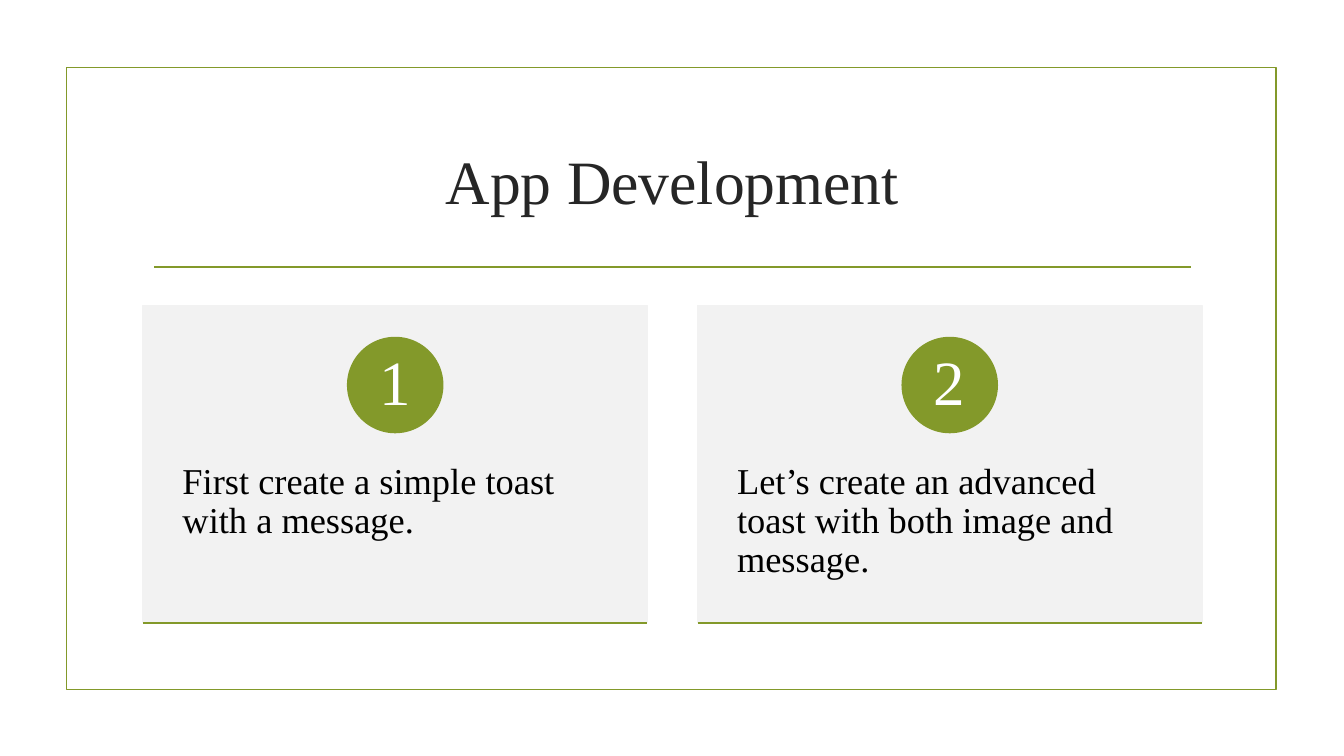
import lxml.etree
import pptx
import pptx.dml.color
import pptx.enum.shapes
import pptx.enum.text
import pptx.oxml.ns
import pptx.util

SCALE = 9144  # EMU per px, 100 px to the inch
FONT = "Times New Roman"
GREEN, GREY, INK, BLACK, WHITE = "83992A", "F2F2F2", "262626", "000000", "FFFFFF"
SHAPE = pptx.enum.shapes.MSO_SHAPE
ALIGN = pptx.enum.text.PP_ALIGN
ANCHOR = pptx.enum.text.MSO_ANCHOR
STEPS = [
    "First create a simple toast with a message.",
    "Let’s create an advanced toast with both image and message.",
]


def px(*lengths):
    return [pptx.util.Emu(length * SCALE) for length in lengths]


def color(value):
    return pptx.dml.color.RGBColor.from_string(value)


def set_all(target, values):
    for name, value in values.items():
        setattr(target, name, value)


def write(shape, text, size, ink, align, anchor, insets=(10, 5), spacing=1.0):
    frame = shape.text_frame
    side, top = px(*insets)
    set_all(frame, {
        "word_wrap": True, "auto_size": pptx.enum.text.MSO_AUTO_SIZE.NONE,
        "vertical_anchor": anchor, "margin_left": side, "margin_right": side,
        "margin_top": top, "margin_bottom": top,
    })
    para = frame.paragraphs[0]
    set_all(para, {"alignment": align, "line_spacing": spacing})
    span = para.add_run()
    span.text = text
    set_all(span.font, {"name": FONT, "size": pptx.util.Pt(size)})
    span.font.color.rgb = color(ink)


def add_block(page, kind, box, fill, line):
    block = page.shapes.add_shape(kind, *px(*box))
    block.shadow.inherit = False
    if fill:
        block.fill.solid()
        block.fill.fore_color.rgb = color(fill)
    else:
        block.fill.background()
    block.line.color.rgb = color(line)
    block.line.width = pptx.util.Pt(1.25)
    return block


def add_rule(page, left, right, y):
    rule = page.shapes.add_connector(
        pptx.enum.shapes.MSO_CONNECTOR.STRAIGHT, *px(left, y, right, y))
    rule.line.color.rgb = color(GREEN)
    rule.line.width = pptx.util.Pt(1.25)
    lxml.etree.SubElement(rule._element.spPr, pptx.oxml.ns.qn("a:effectLst"))


def add_heading(page, box, text):
    left, top, width, height = box
    add_rule(page, left + 11, left + width - 11, top + height + 15)
    title = page.shapes.title
    set_all(title, dict(zip(("left", "top", "width", "height"), px(*box))))
    write(title, text, 44, INK, ALIGN.CENTER, ANCHOR.MIDDLE)


def add_card(page, box, number, text):
    left, top, width, height = box
    add_block(page, SHAPE.RECTANGLE, box, GREY, GREY)
    # Step description
    body = page.shapes.add_textbox(*px(left, top + 120, width, height - 125))
    write(body, text, 26, BLACK, ALIGN.LEFT, ANCHOR.TOP, (39, 36), 0.9)
    # Numbered badge, centred across the card
    size = 94
    badge = add_block(page, SHAPE.OVAL,
                      (left + (width - size) // 2, top + 32, size, size), GREEN, GREEN)
    write(badge, str(number), 45, WHITE, ALIGN.CENTER, ANCHOR.MIDDLE, (7, 1), 0.9)
    add_rule(page, left, left + width, top + height + 1)


def add_cards(page, box, texts):
    left, top, width, height = box
    gap = 50
    card_width = (width - gap * (len(texts) - 1)) // len(texts)
    for index, text in enumerate(texts):
        add_card(page, (left + index * (card_width + gap), top, card_width, height),
                 index + 1, text)


def main():
    deck = pptx.Presentation()
    deck.slide_width, deck.slide_height = px(1333, 750)
    page = deck.slides.add_slide(deck.slide_layouts[5])
    # Frame, heading and step cards
    add_block(page, SHAPE.RECTANGLE, (66, 67, 1200, 617), None, GREEN)
    add_heading(page, (142, 107, 1050, 143), "App Development")
    add_cards(page, (142, 303, 1050, 314), STEPS)
    deck.save("out.pptx")


if __name__ == "__main__":
    main()
